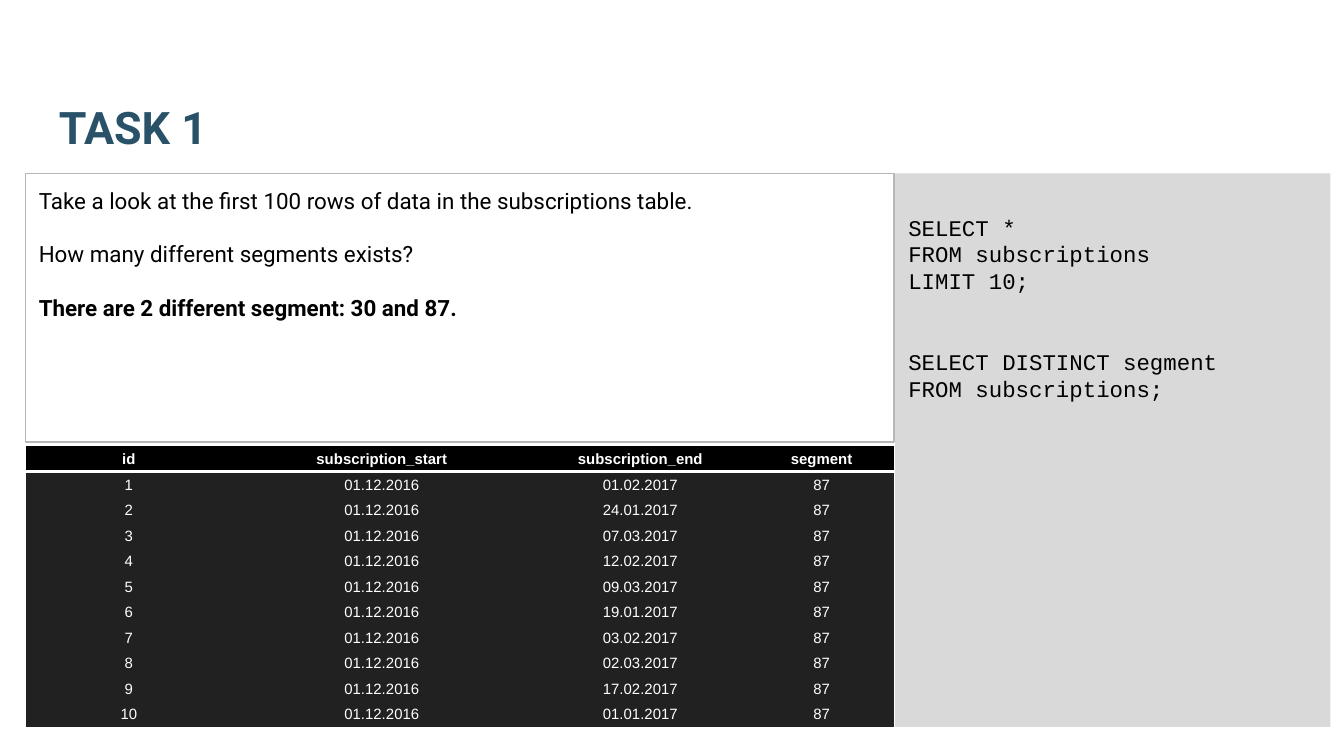
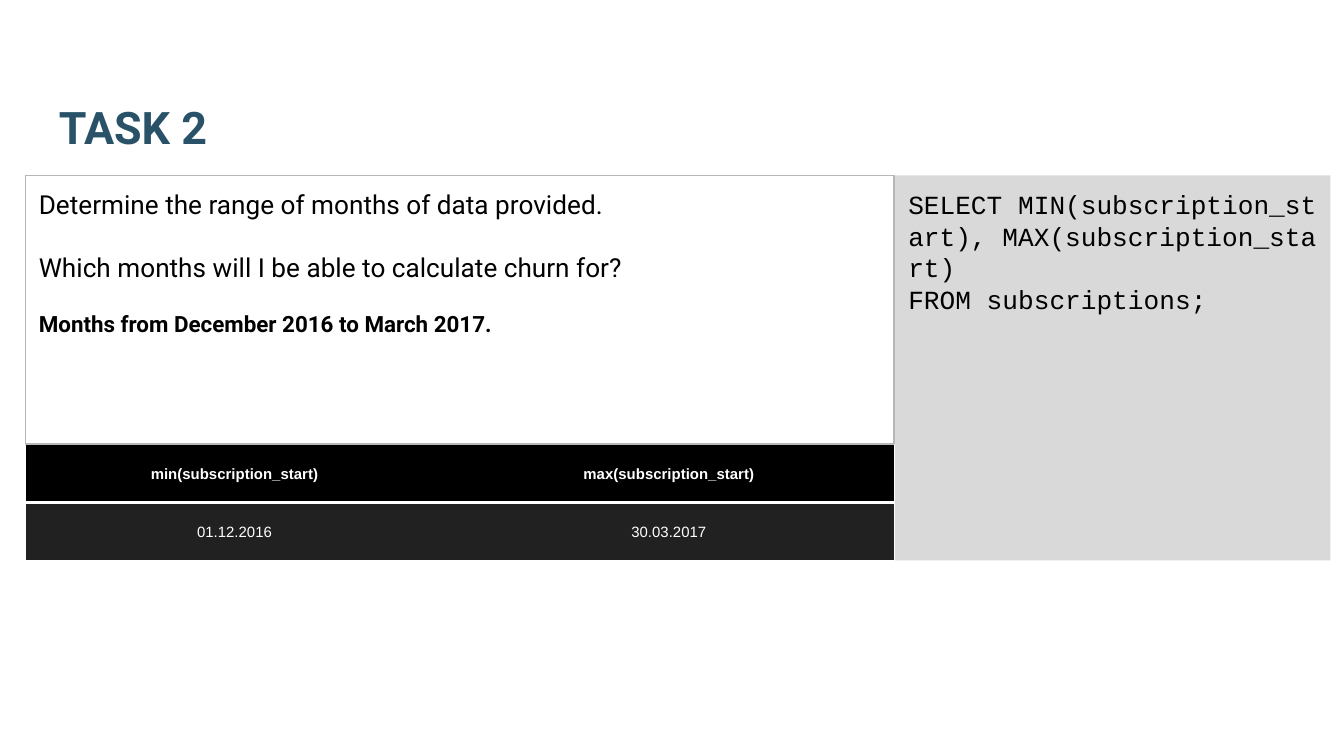
import dataclasses

import lxml.etree
import pptx
import pptx.dml.color
import pptx.enum.shapes
import pptx.enum.text
import pptx.oxml.ns
import pptx.util

Pt = pptx.util.Pt
ANCHOR = pptx.enum.text.MSO_ANCHOR
ALIGN = pptx.enum.text.PP_ALIGN


@dataclasses.dataclass(frozen=True)
class Theme:
    """Colours, fonts, type sizes and the shared page grid, in points."""
    title_color: str = "295269"
    ink: str = "000000"
    paper: str = "FFFFFF"
    code_fill: str = "D9D9D9"
    outline: str = "B7B7B7"
    header_fill: str = "000000"
    body_fill: str = "212121"
    text_font: str = "Roboto"
    code_font: str = "Courier New"
    table_font: str = "Arial"
    title_size: int = 24
    large_size: int = 14
    text_size: int = 12
    table_size: int = 8
    leading: float = 1.2
    inset: float = 7.2
    left: float = 13.7
    main_width: float = 465.3
    code_left: float = 479.5
    code_width: float = 233.3
    task_height: float = 144
    plain_table_style: str = "{2D5ABB26-0587-4C30-8999-92F81FD0307C}"


THEME = Theme()


def rgb(color):
    """Turn a hexadecimal string into a colour."""
    return pptx.dml.color.RGBColor.from_string(color)


def set_margins(holder, left, top, right, bottom):
    """Set the four inner margins of a text frame or table cell."""
    holder.margin_left, holder.margin_top = Pt(left), Pt(top)
    holder.margin_right, holder.margin_bottom = Pt(right), Pt(bottom)


def write_line(text_frame, text, *, size, font=THEME.text_font, color=THEME.ink,
               bold=False, align=ALIGN.LEFT, leading=None, gap=0):
    """Write one paragraph, with the gap above it counted in lines."""
    paragraph = text_frame.paragraphs[0]
    if paragraph.runs:
        paragraph = text_frame.add_paragraph()
    paragraph.alignment = align
    if leading:
        paragraph.line_spacing = Pt(size * leading)
    if gap:
        paragraph.space_before = Pt(size * THEME.leading * gap)
    run = paragraph.add_run()
    run.text = text
    run.font.name, run.font.size, run.font.bold = font, Pt(size), bold
    run.font.color.rgb = rgb(color)


def add_title(slide, text):
    """Add the slide title, resting on the bottom of its box."""
    text_frame = slide.shapes.add_textbox(Pt(24.5), Pt(23), Pt(671), Pt(66.2)).text_frame
    text_frame.word_wrap = True
    text_frame.vertical_anchor = ANCHOR.BOTTOM
    set_margins(text_frame, *[THEME.inset] * 4)
    write_line(text_frame, text, size=THEME.title_size, color=THEME.title_color, bold=True)


def add_panel(slide, left, top, width, height, fill=None, outline=None, top_inset=THEME.inset):
    """Add a rectangle for text and return its text frame."""
    shape = slide.shapes.add_shape(pptx.enum.shapes.MSO_SHAPE.RECTANGLE,
                                   Pt(left), Pt(top), Pt(width), Pt(height))
    shape.shadow.inherit = False
    if fill:
        shape.fill.solid()
        shape.fill.fore_color.rgb = rgb(fill)
    else:
        shape.fill.background()
    if outline:
        shape.line.color.rgb = rgb(outline)
        shape.line.width = Pt(0.75)
    else:
        shape.line.fill.background()
    text_frame = shape.text_frame
    text_frame.word_wrap = True
    text_frame.vertical_anchor = ANCHOR.TOP
    set_margins(text_frame, THEME.inset, top_inset, THEME.inset, THEME.inset)
    return text_frame


def add_code(slide, top, height, queries, size, top_inset=THEME.inset):
    """Add the query panel, with unbreakable spaces and two lines between queries."""
    text_frame = add_panel(slide, THEME.code_left, top, THEME.code_width, height,
                           fill=THEME.code_fill, top_inset=top_inset)
    for query_index, query in enumerate(queries):
        for line_index, line in enumerate(query):
            write_line(text_frame, line.replace(" ", chr(160)), size=size,
                       font=THEME.code_font, leading=THEME.leading,
                       gap=2 if query_index and not line_index else 0)


def add_task(slide, top, questions, answer, size):
    """Add the outlined box with the questions and the bold answer."""
    text_frame = add_panel(slide, THEME.left, top, THEME.main_width, THEME.task_height,
                           outline=THEME.outline)
    for index, question in enumerate(questions):
        write_line(text_frame, question, size=size, leading=THEME.leading, gap=min(index, 1))
    write_line(text_frame, answer, size=THEME.text_size, bold=True,
               leading=THEME.leading, gap=1)


def underline_cell(cell):
    """Draw a white rule along the bottom of a cell."""
    properties = cell._tc.get_or_add_tcPr()
    border = lxml.etree.Element(pptx.oxml.ns.qn("a:lnB"), w=str(Pt(2)))
    fill = lxml.etree.SubElement(border, pptx.oxml.ns.qn("a:solidFill"))
    lxml.etree.SubElement(fill, pptx.oxml.ns.qn("a:srgbClr"), val=THEME.paper)
    properties.insert(0, border)


def add_result(slide, top, rows, column_widths, row_height):
    """Add the query result as a dark table with a header row."""
    frame = slide.shapes.add_table(len(rows), len(column_widths), Pt(THEME.left), Pt(top),
                                   Pt(sum(column_widths)), Pt(row_height * len(rows)))
    table = frame.table
    table.horz_banding = False
    table._tbl.tblPr.find(pptx.oxml.ns.qn("a:tableStyleId")).text = THEME.plain_table_style
    for column, width in zip(table.columns, column_widths):
        column.width = Pt(width)
    for row_index, values in enumerate(rows):
        is_header = row_index == 0
        table.rows[row_index].height = Pt(row_height)
        for column_index, value in enumerate(values):
            cell = table.cell(row_index, column_index)
            cell.fill.solid()
            cell.fill.fore_color.rgb = rgb(THEME.header_fill if is_header else THEME.body_fill)
            cell.vertical_anchor = ANCHOR.MIDDLE
            set_margins(cell, 0.75, 0.75, 0.75, 0)
            write_line(cell.text_frame, value, size=THEME.table_size, font=THEME.table_font,
                       color=THEME.paper, bold=is_header, align=ALIGN.CENTER)
            if is_header:
                underline_cell(cell)


def build_segments(slide):
    """Build the slide on the first rows and the segments."""
    top = 92.9
    end_dates = ["01.02.2017", "24.01.2017", "07.03.2017", "12.02.2017", "09.03.2017",
                 "19.01.2017", "03.02.2017", "02.03.2017", "17.02.2017", "01.01.2017"]
    rows = [["id", "subscription_start", "subscription_end", "segment"]]
    rows += [[str(number), "01.12.2016", end_date, "87"]
             for number, end_date in enumerate(end_dates, start=1)]
    add_title(slide, "TASK 1")
    add_code(slide, top, 296.6,
             [["SELECT *", "FROM subscriptions", "LIMIT 10;"],
              ["SELECT DISTINCT segment", "FROM subscriptions;"]],
             size=THEME.text_size, top_inset=THEME.inset + THEME.text_size * THEME.leading)
    add_task(slide, top,
             ["Take a look at the first 100 rows of data in the subscriptions table.",
              "How many different segments exists?"],
             "There are 2 different segment: 30 and 87.", size=THEME.text_size)
    add_result(slide, 239, rows, [110.7, 160.4, 116.6, 77.6], 13.69)


def build_months(slide):
    """Build the slide on the range of months."""
    top = 93.9
    add_title(slide, "TASK 2")
    add_code(slide, top, 206.4,
             [["SELECT MIN(subscription_start), MAX(subscription_start)",
               "FROM subscriptions;"]], size=THEME.large_size)
    add_task(slide, top,
             ["Determine the range of months of data provided.",
              "Which months will I be able to calculate churn for?"],
             "Months from December 2016 to March 2017.", size=THEME.large_size)
    add_result(slide, 238.3,
               [["min(subscription_start)", "max(subscription_start)"],
                ["01.12.2016", "30.03.2017"]], [224, 241.3], 31)


def main():
    """Build and save the presentation."""
    presentation = pptx.Presentation()
    presentation.slide_width, presentation.slide_height = Pt(720), Pt(405)
    for build in (build_segments, build_months):
        build(presentation.slides.add_slide(presentation.slide_layouts[6]))
    presentation.save("out.pptx")


if __name__ == "__main__":
    main()
